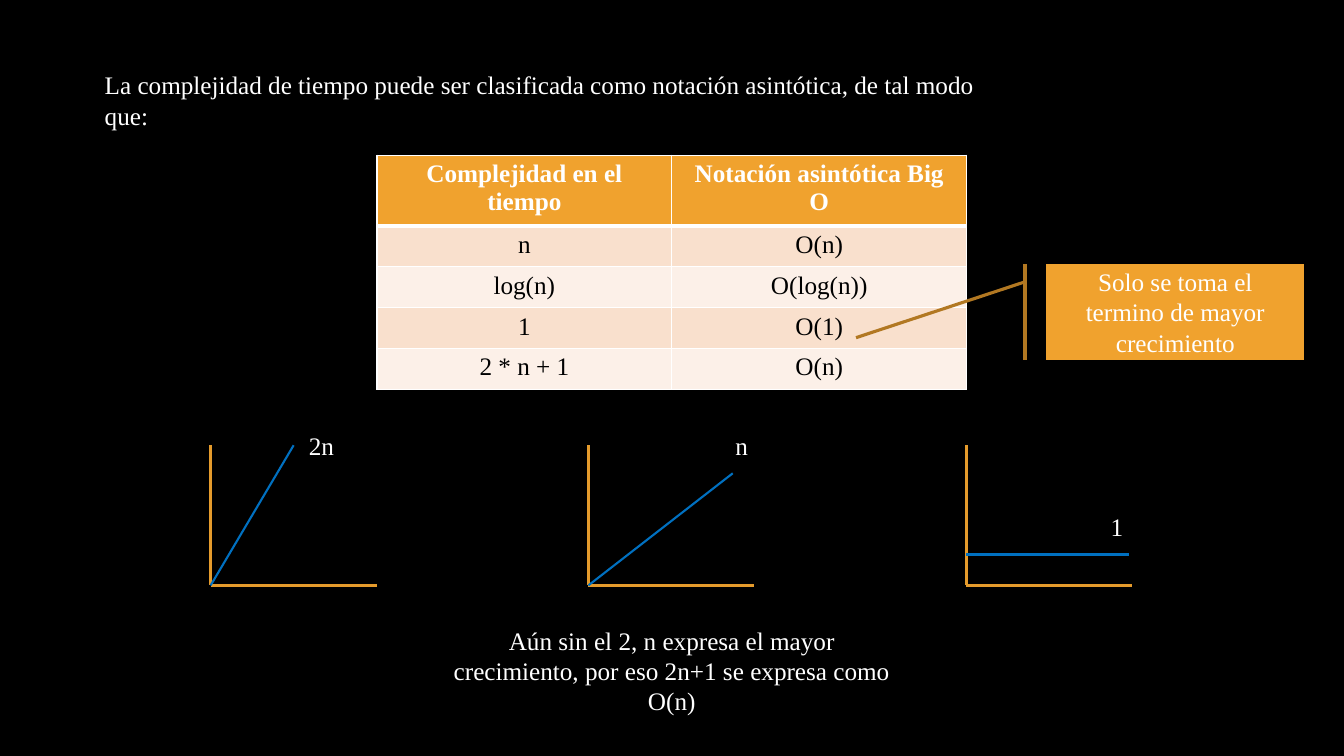
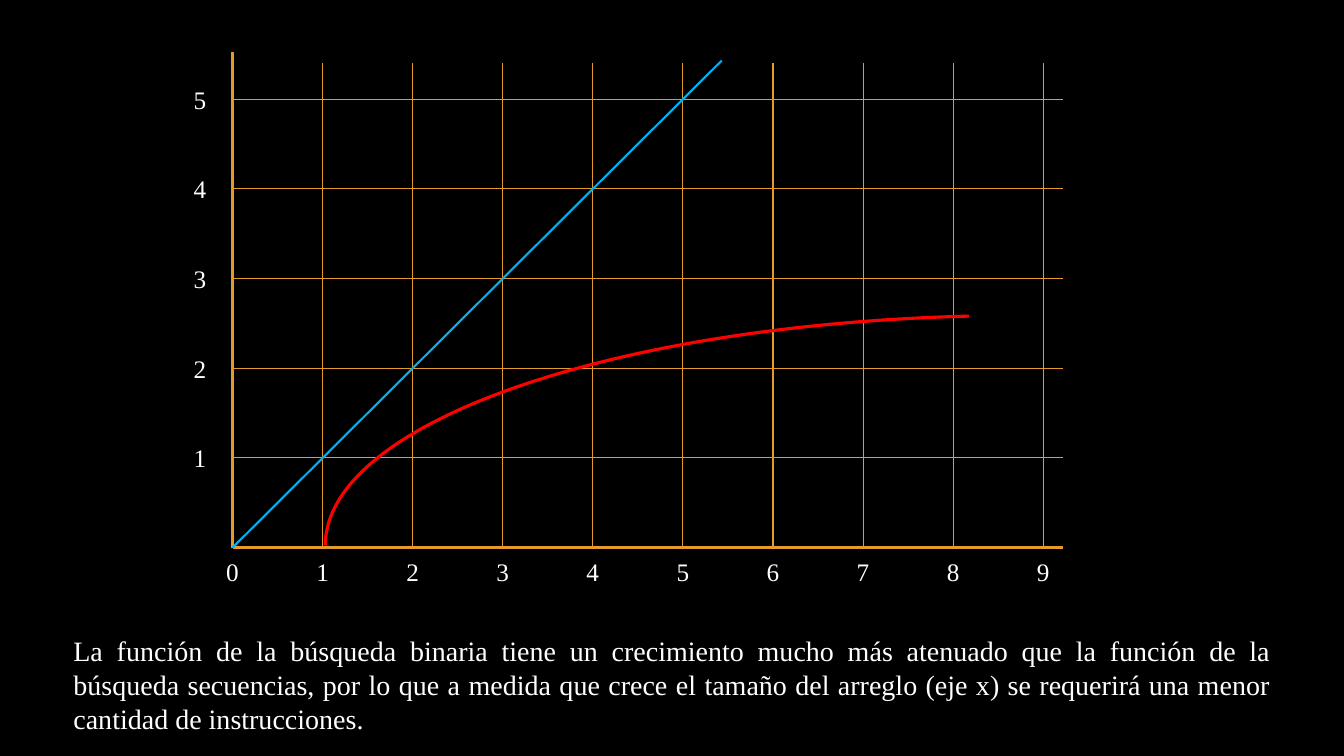
from dataclasses import dataclass

from lxml.etree import SubElement
from pptx import Presentation
from pptx.dml.color import RGBColor
from pptx.enum.shapes import MSO_CONNECTOR, MSO_SHAPE
from pptx.enum.text import MSO_ANCHOR, MSO_AUTO_SIZE, PP_ALIGN
from pptx.oxml.ns import qn
from pptx.util import Cm, Pt


@dataclass(frozen=True)
class Theme:
    """Colours, type sizes and line widths shared by the slides."""

    font: str = "Times New Roman"
    back: str = "000000"
    light: str = "FFFFFF"
    dark: str = "000000"
    accent: str = "F0A22E"
    accent_line: str = "B27822"
    axis: str = "E59B2C"
    plot: str = "0070C0"
    linear: str = "00B0F0"
    binary: str = "FF0000"
    bands: tuple = ("F9E0CD", "FCF0E8")
    body: int = 18
    note: int = 20
    thick: float = 2.25
    medium: float = 1.5
    thin: float = 0.75


T = Theme()
LABEL_W, LABEL_H = 1.4, 1.02


def rgb(value):
    """Return a colour from its hex text."""
    return RGBColor.from_string(value)


def apply(target, values):
    """Set each attribute named in a dict."""
    for name, value in values.items():
        setattr(target, name, value)


def write(tf, text, size=T.body, color=T.light, align=PP_ALIGN.CENTER, bold=False):
    """Write one formatted paragraph in a text frame."""
    p = tf.paragraphs[0]
    p.alignment = align
    r = p.add_run()
    r.text = text
    apply(r.font, {"name": T.font, "size": Pt(size), "bold": bold})
    r.font.color.rgb = rgb(color)


def add_text(shapes, box, text, **fmt):
    """Add a wrapping text box at a box in centimetres."""
    tf = shapes.add_textbox(*map(Cm, box)).text_frame
    apply(tf, {"word_wrap": True, "auto_size": MSO_AUTO_SIZE.SHAPE_TO_FIT_TEXT})
    write(tf, text, **fmt)


def add_label(shapes, center, top, text):
    """Add a short label centred on a horizontal position."""
    add_text(shapes, (center - LABEL_W / 2, top, LABEL_W, LABEL_H), text)


def style_line(line, color, width):
    """Colour and size a line."""
    line.color.rgb = rgb(color)
    line.width = Pt(width)


def add_line(shapes, start, end, color=T.axis, width=T.thick):
    """Draw a straight line between two points in centimetres."""
    cn = shapes.add_connector(MSO_CONNECTOR.STRAIGHT, *map(Cm, (*start, *end)))
    style_line(cn.line, color, width)
    SubElement(cn._element.spPr, qn("a:effectLst"))


def add_preset(shapes, kind, box, adjustments, color):
    """Add an outlined preset shape with its adjustments."""
    sp = shapes.add_shape(kind, *map(Cm, box))
    sp.shadow.inherit = False
    style_line(sp.line, color, T.thick)
    for i, value in enumerate(adjustments):
        sp.adjustments[i] = value
    return sp


def add_borders(cell, bottom):
    """Draw the four borders of a table cell."""
    tc_pr = cell._tc.get_or_add_tcPr()
    for i, (side, width) in enumerate((("L", 1), ("R", 1), ("T", 1), ("B", bottom))):
        ln = SubElement(tc_pr, qn(f"a:ln{side}"), w=str(Pt(width)))
        SubElement(SubElement(ln, qn("a:solidFill")), qn("a:srgbClr"), val=T.light)
        tc_pr.insert(i, ln)


def add_complexity_table(shapes, box, rows):
    """Add the banded table of complexities."""
    tbl = shapes.add_table(len(rows), len(rows[0]), *map(Cm, box)).table
    for i, row in enumerate(rows):
        head = i == 0
        for j, text in enumerate(row):
            cell = tbl.cell(i, j)
            cell.fill.solid()
            cell.fill.fore_color.rgb = rgb(T.accent if head else T.bands[(i - 1) % 2])
            write(cell.text_frame, text, color=T.light if head else T.dark, bold=head)
            add_borders(cell, 3 if head else 1)


def add_callout(shapes, box, text):
    """Add the accent-bar callout."""
    sp = add_preset(shapes, MSO_SHAPE.LINE_CALLOUT_1_ACCENT_BAR, box,
                    (0.188, -0.083, 0.772, -0.738), T.accent_line)
    sp.fill.solid()
    sp.fill.fore_color.rgb = rgb(T.accent)
    apply(sp.text_frame, {"word_wrap": True, "vertical_anchor": MSO_ANCHOR.MIDDLE})
    write(sp.text_frame, text)


def add_mini_plot(shapes, box, start, end, label):
    """Draw a small plot; the curve ends are fractions of its box."""
    x, y, w, h = box
    grp = shapes.add_group_shape().shapes
    add_line(grp, (x, y), (x, y + h))
    add_line(grp, (x, y + h), (x + w, y + h))
    ends = [(x + w * fx, y + h * fy) for fx, fy in (start, end)]
    add_line(grp, *ends, T.plot, T.medium)
    text, dx, dy = label
    add_label(grp, x + dx, y + dy, text)


def add_growth_plot(shapes, box, step_x, step_y):
    """Draw the grid with the linear and binary search curves."""
    x, y, w, h = box
    right, bottom = x + w, y + h
    grp = shapes.add_group_shape().shapes
    add_line(grp, (x, y), (x, bottom))
    add_line(grp, (x, bottom), (right, bottom))
    for n in range(1, 6):
        gy = bottom - n * step_y
        add_line(grp, (x, gy), (right, gy), width=T.thin)
        add_label(grp, x - 0.82, gy - LABEL_H / 2, str(n))
    for n in range(10):
        gx = x + n * step_x
        if n:
            add_line(grp, (gx, bottom), (gx, y + 0.26), width=T.thin)
        add_label(grp, gx, bottom + 0.1, str(n))
    reach = 5.43
    add_line(shapes, (x, bottom), (x + reach * step_x, bottom - reach * step_y),
             T.linear, T.medium)
    sp = add_preset(shapes, MSO_SHAPE.ARC, (x + 2.34, y + 6.63, 35.08, 11.58),
                    (169.687, 0), T.binary)
    sp.fill.background()
    sp._element.spPr.find(qn("a:xfrm")).set("flipH", "1")


def add_slide(prs):
    """Add a blank slide with the dark background."""
    s = prs.slides.add_slide(prs.slide_layouts[6])
    s.background.fill.solid()
    s.background.fill.fore_color.rgb = rgb(T.back)
    return s.shapes


def notation_slide(prs):
    """Build the slide on asymptotic notation."""
    shapes = add_slide(prs)
    add_text(shapes, (2.39, 1.63, 23.6, 1.02),
             "La complejidad de tiempo puede ser clasificada como notación "
             "asintótica, de tal modo que:", align=PP_ALIGN.LEFT)
    add_complexity_table(shapes, (9.5, 3.91, 14.86, 5.15), (
        ("Complejidad en el tiempo", "Notación asintótica Big O"),
        ("n", "O(n)"),
        ("log(n)", "O(log(n))"),
        ("1", "O(1)"),
        ("2 * n + 1", "O(n)"),
    ))
    add_callout(shapes, (26.37, 6.65, 6.5, 2.41),
                "Solo se toma el termino de mayor crecimiento")
    plots = (
        ((0, 1), (0.5, 0), ("2n", 2.79, -0.51)),
        ((0, 1), (0.87, 0.2), ("n", 3.86, -0.51)),
        ((0, 0.78), (0.98, 0.78), ("1", 3.8, 1.55)),
    )
    for i, plot in enumerate(plots):
        add_mini_plot(shapes, (5.31 + 9.52 * i, 11.22, 4.18, 3.53), *plot)
    add_text(shapes, (11, 15.62, 11.86, 1.8),
             "Aún sin el 2, n expresa el mayor crecimiento, por eso 2n+1 se "
             "expresa como O(n)")


def growth_slide(prs):
    """Build the slide comparing both searches."""
    shapes = add_slide(prs)
    add_growth_plot(shapes, (5.86, 1.32, 20.94, 12.48), 2.27, 2.26)
    add_text(shapes, (1.6, 15.85, 30.68, 2.82),
             "La función de la búsqueda binaria tiene un crecimiento mucho más "
             "atenuado que la función de la búsqueda secuencias, por lo que a "
             "medida que crece el tamaño del arreglo (eje x) se requerirá una "
             "menor cantidad de instrucciones.",
             size=T.note, align=PP_ALIGN.JUSTIFY)


def main():
    """Build and save the presentation."""
    prs = Presentation()
    apply(prs, {"slide_width": Cm(33.87), "slide_height": Cm(19.05)})
    notation_slide(prs)
    growth_slide(prs)
    prs.save("out.pptx")


if __name__ == "__main__":
    main()
